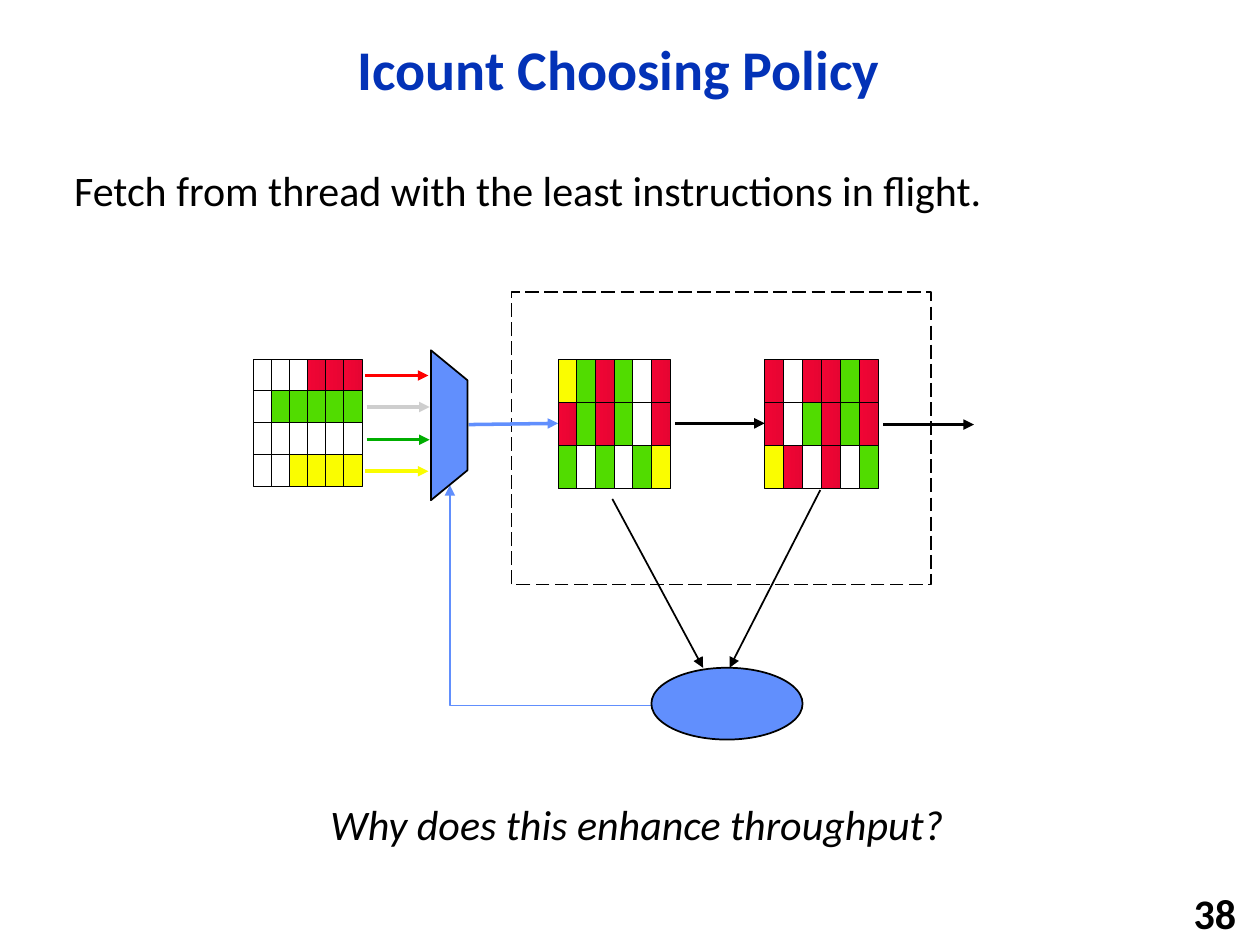
"""Build the Icount choosing policy slide on a grid of 100 columns by 75 rows."""
from dataclasses import dataclass

from lxml.etree import SubElement
from pptx import Presentation
from pptx.dml.color import RGBColor
from pptx.enum.dml import MSO_LINE
from pptx.enum.shapes import MSO_CONNECTOR as Link, MSO_SHAPE as Shape
from pptx.enum.text import MSO_ANCHOR as Anchor, PP_ALIGN as Align
from pptx.oxml.ns import qn
from pptx.util import Inches, Pt


@dataclass(frozen=True)
class Theme:
    font: str = "Calibri"
    title_size: int = 32
    body_size: int = 24
    title: str = "0332B7"
    ink: str = "000000"
    blue: str = "618FFD"
    white: str = "FFFFFF"
    green: str = "51DC00"
    yellow: str = "FAFD00"
    red_start: str = "F10534"
    red_end: str = "E60532"
    red_arrow: str = "FF0000"
    grey_arrow: str = "CECECE"
    green_arrow: str = "00AE00"
    thin: float = 0.5
    normal: float = 1
    thick: float = 2


THEME = Theme()
COLUMNS, ROWS = 100, 75
CELL_FILLS = {
    "W": [THEME.white],
    "G": [THEME.green],
    "Y": [THEME.yellow],
    "R": [THEME.red_start, THEME.red_end],
}

TEXTS = [
    dict(text="Icount Choosing Policy", area=(9.2, 1.7, 79.8, 8.1), size=THEME.title_size,
         color=THEME.title, align=Align.CENTER, anchor=Anchor.MIDDLE, bold=True),
    dict(text="38", area=(78.3, 70.8, 20.8, 3.2), align=Align.RIGHT,
         anchor=Anchor.MIDDLE, bold=True, spacing=1),
    dict(text="Fetch from thread with the least instructions in flight.",
         area=(4.9, 13, 92.3, 8)),
    dict(text="Why does this enhance throughput?", area=(4.1, 63.3, 92.9, 8),
         align=Align.CENTER, italic=True),
]

BLOCKS = [
    ((20.1, 28.5, 8.64, 10.1), ["WWWRRR", "WGGGGG", "WWWWWW", "WWYYYY"]),
    ((44.3, 28.5, 8.9, 10.3), ["YGRGWR", "RGRGWR", "GWGWGY"]),
    ((60.7, 28.5, 9, 10.3), ["RWRRGR", "RWGRGR", "YRWRWG"]),
]

ARROWS = [
    ((37.2, 33.7), (44.3, 33.6), THEME.blue, THEME.thick),
    ((53.6, 33.6), (60.7, 33.6), THEME.ink, THEME.thick),
    ((70.1, 33.7), (77.3, 33.7), THEME.ink, THEME.thick),
    ((48.6, 39.6), (55.8, 53), THEME.ink, THEME.normal),
    ((65.1, 38.9), (57.9, 53), THEME.ink, THEME.normal),
    ((29, 29.8), (34, 29.8), THEME.red_arrow, THEME.thick),
    ((29.1, 32.3), (34.1, 32.3), THEME.grey_arrow, THEME.thick),
    ((29.1, 34.9), (34.1, 34.9), THEME.green_arrow, THEME.thick),
    ((29, 37.4), (34, 37.4), THEME.yellow, THEME.thick),
]

FEEDBACK = (35.7, 38.5), (58.4, 56)
PIPELINE = (40.6, 23.2, 33.3, 23.2)
SELECTOR = (29.7, 32.3, 11.9, 2.9)
COUNTER = (51.7, 53, 12, 5.7)

deck = Presentation()
deck.slide_width, deck.slide_height = Inches(10), Inches(7.5)
page = deck.slides.add_slide(deck.slide_layouts[6])


def place(*lengths):
    units = deck.slide_width / COLUMNS, deck.slide_height / ROWS
    return [round(length * units[index % 2]) for index, length in enumerate(lengths)]


def add_text(text, area, size=THEME.body_size, color=THEME.ink, align=Align.LEFT,
             anchor=Anchor.TOP, bold=False, italic=False, spacing=0.9):
    frame = page.shapes.add_textbox(*place(*area)).text_frame
    frame.word_wrap = True
    frame.vertical_anchor = anchor
    para = frame.paragraphs[0]
    para.text = text
    para.alignment = align
    para.line_spacing = spacing
    font = para.font
    font.name, font.size, font.bold, font.italic = THEME.font, Pt(size), bold, italic
    font.color.rgb = RGBColor.from_string(color)


def add_box(kind, area, colors=(), width=THEME.normal):
    box = page.shapes.add_shape(kind, *place(*area))
    box.shadow.inherit = False
    box.line.color.rgb = RGBColor.from_string(THEME.ink)
    box.line.width = Pt(width)
    if not colors:
        box.fill.background()
    elif len(colors) == 1:
        box.fill.solid()
        box.fill.fore_color.rgb = RGBColor.from_string(colors[0])
    else:
        box.fill.gradient()
        box.fill.gradient_angle = 0
        for stop, color in zip(box.fill.gradient_stops, colors):
            stop.color.rgb = RGBColor.from_string(color)
    return box


def add_block(area, rows):
    left, top, width, height = area
    cell_height = height / len(rows)
    for row, fills in enumerate(rows):
        cell_width = width / len(fills)
        for column, fill in enumerate(fills):
            cell = (left + column * cell_width, top + row * cell_height,
                    cell_width, cell_height)
            add_box(Shape.RECTANGLE, cell, CELL_FILLS[fill], THEME.thin)


def add_arrow(start, end, color, width, kind=Link.STRAIGHT):
    arrow = page.shapes.add_connector(kind, *place(*start, *end))
    arrow.line.color.rgb = RGBColor.from_string(color)
    arrow.line.width = Pt(width)
    SubElement(arrow.line._get_or_add_ln(), qn("a:tailEnd"), type="triangle")
    SubElement(arrow.element.spPr, qn("a:effectLst"))
    return arrow


for item in TEXTS:
    add_text(**item)
for block in BLOCKS:
    add_block(*block)
add_box(Shape.RECTANGLE, PIPELINE).line.dash_style = MSO_LINE.LONG_DASH
for ends in ARROWS:
    add_arrow(*ends)

feedback = add_arrow(*FEEDBACK, THEME.blue, THEME.normal, Link.ELBOW)
feedback.element.spPr.find(qn("a:prstGeom")).set("prst", "bentConnector2")
feedback.element.spPr.find(qn("a:xfrm")).set("rot", "10800000")

add_box(Shape.FLOWCHART_MANUAL_OPERATION, SELECTOR, [THEME.blue]).rotation = 270
add_box(Shape.OVAL, COUNTER, [THEME.blue])

deck.save("out.pptx")
